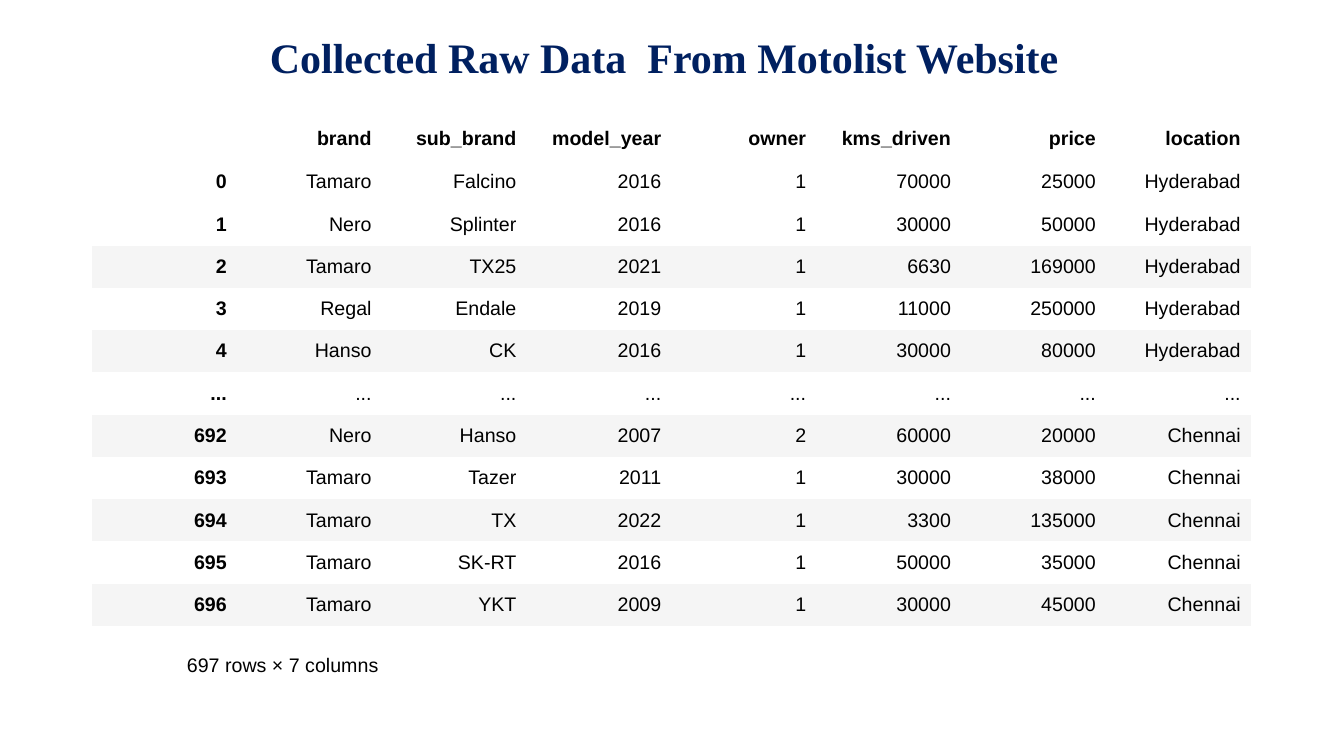
"""Build a slide that shows the collected raw motorcycle data as a table."""
from pptx import Presentation
from pptx.dml.color import RGBColor
from pptx.enum.text import MSO_ANCHOR, PP_ALIGN
from pptx.oxml.ns import qn
from pptx.util import Emu, Pt

TITLE = "Collected Raw Data  From Motolist Website"
FOOTNOTE = "697 rows × 7 columns"
HEADINGS = [
    ("", "brand", "sub_brand", "model_year", "owner", "kms_driven", "price", "location"),
]
RECORDS = [
    ("0", "Tamaro", "Falcino", "2016", "1", "70000", "25000", "Hyderabad"),
    ("1", "Nero", "Splinter", "2016", "1", "30000", "50000", "Hyderabad"),
    ("2", "Tamaro", "TX25", "2021", "1", "6630", "169000", "Hyderabad"),
    ("3", "Regal", "Endale", "2019", "1", "11000", "250000", "Hyderabad"),
    ("4", "Hanso", "CK", "2016", "1", "30000", "80000", "Hyderabad"),
    ("...",) * 8,
    ("692", "Nero", "Hanso", "2007", "2", "60000", "20000", "Chennai"),
    ("693", "Tamaro", "Tazer", "2011", "1", "30000", "38000", "Chennai"),
    ("694", "Tamaro", "TX", "2022", "1", "3300", "135000", "Chennai"),
    ("695", "Tamaro", "SK-RT", "2016", "1", "50000", "35000", "Chennai"),
    ("696", "Tamaro", "YKT", "2009", "1", "30000", "45000", "Chennai"),
]

NAVY = RGBColor(0x00, 0x20, 0x60)
BLACK = RGBColor(0x00, 0x00, 0x00)
WHITE = RGBColor(0xFF, 0xFF, 0xFF)
BAND_GRAY = RGBColor(0xF5, 0xF5, 0xF5)
RIGHT = PP_ALIGN.RIGHT
MIDDLE = MSO_ANCHOR.MIDDLE
PLAIN_TABLE_STYLE = "{2D5ABB26-0587-4C30-8999-92F81FD0307C}"

TABLE_LEFT, TABLE_WIDTH = 92, 1159
HEADER_TOP, HEADER_HEIGHT = 122, 33
RECORDS_TOP, RECORDS_HEIGHT = 161, 465


def px(length):
    """Convert px to EMU at 100.8 px to the inch."""
    return Emu(round(length * 914400 / 100.8))


def style_text(text_frame, font_name, size, color, bold):
    """Format every run of a text frame."""
    for paragraph in text_frame.paragraphs:
        for run in paragraph.runs:
            run.font.name = font_name
            run.font.size = Pt(size)
            run.font.color.rgb = color
            run.font.bold = bold


def add_text(slide, text, box, font_name, size, color, bold):
    """Add a wrapping text box."""
    text_frame = slide.shapes.add_textbox(*map(px, box)).text_frame
    text_frame.word_wrap = True
    text_frame.text = text
    style_text(text_frame, font_name, size, color, bold)


def add_data_table(slide, rows, top, height, is_header):
    """Add an evenly spaced table with right-aligned cells."""
    frame = slide.shapes.add_table(
        len(rows), len(rows[0]), px(TABLE_LEFT), px(top), px(TABLE_WIDTH), px(height)
    )
    table = frame.table
    table.first_row = is_header
    table.horz_banding = False
    table._tbl.tblPr.find(qn("a:tableStyleId")).text = PLAIN_TABLE_STYLE
    for row_index, row in enumerate(rows):
        banded = row_index > 0 and row_index % 2 == 0
        for column_index, text in enumerate(row):
            cell = table.cell(row_index, column_index)
            cell.text_frame.text = text
            cell.text_frame.paragraphs[0].alignment = RIGHT
            cell.vertical_anchor = MIDDLE
            cell.margin_top = cell.margin_bottom = 0
            cell.fill.solid()
            cell.fill.fore_color.rgb = BAND_GRAY if banded else WHITE
            bold = is_header or column_index == 0
            style_text(cell.text_frame, "Arial", 14, BLACK, bold)


def main():
    """Create and save the presentation."""
    presentation = Presentation()
    presentation.slide_width = px(1344)
    presentation.slide_height = px(756)
    slide = presentation.slides.add_slide(presentation.slide_layouts[6])
    add_text(slide, TITLE, (260, 27, 975, 61), "Times New Roman", 30, NAVY, True)
    add_data_table(slide, RECORDS, RECORDS_TOP, RECORDS_HEIGHT, False)
    add_data_table(slide, HEADINGS, HEADER_TOP, HEADER_HEIGHT, True)
    add_text(slide, FOOTNOTE, (177, 648, 672, 34), "Arial", 14, BLACK, False)
    presentation.save("out.pptx")


if __name__ == "__main__":
    main()
